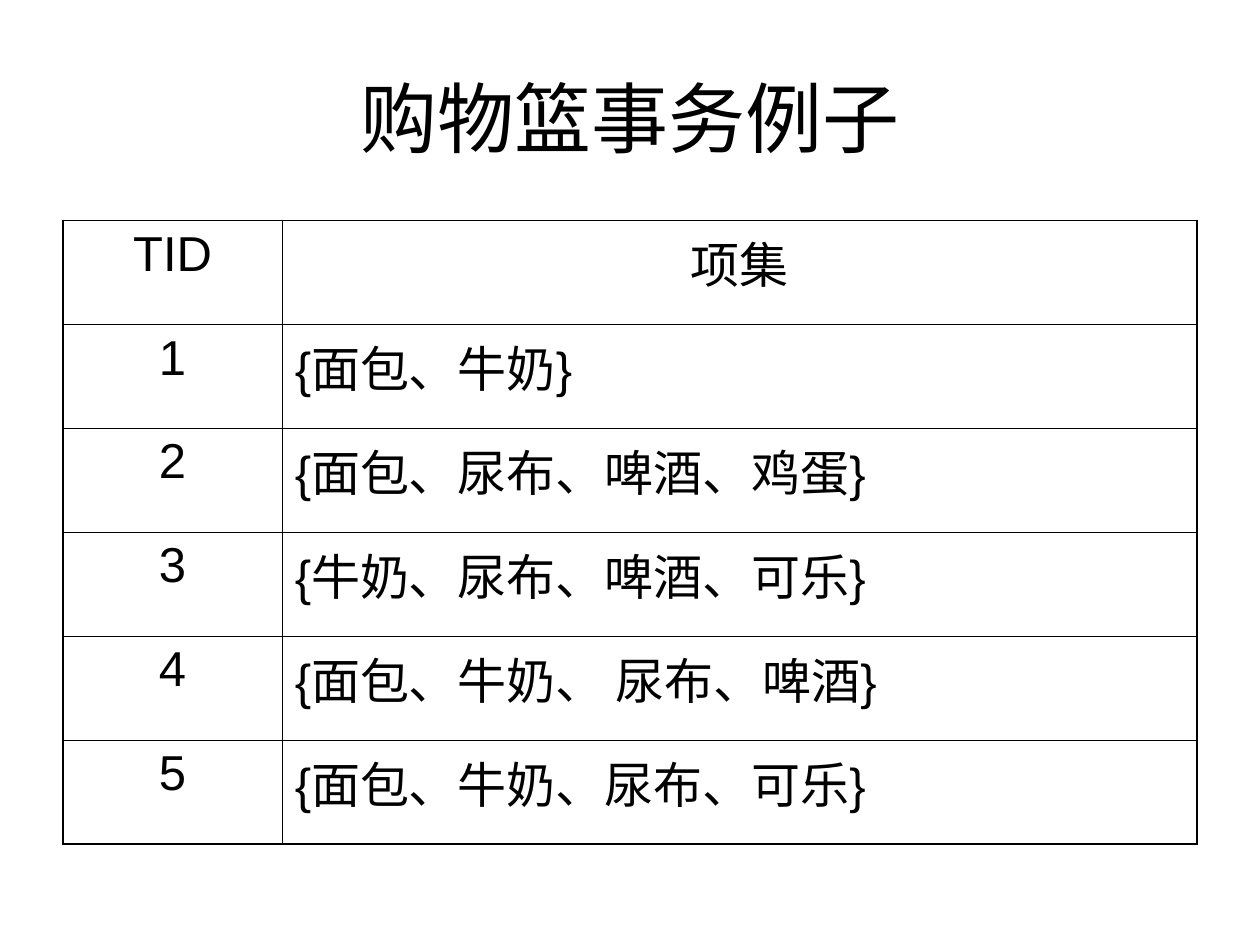
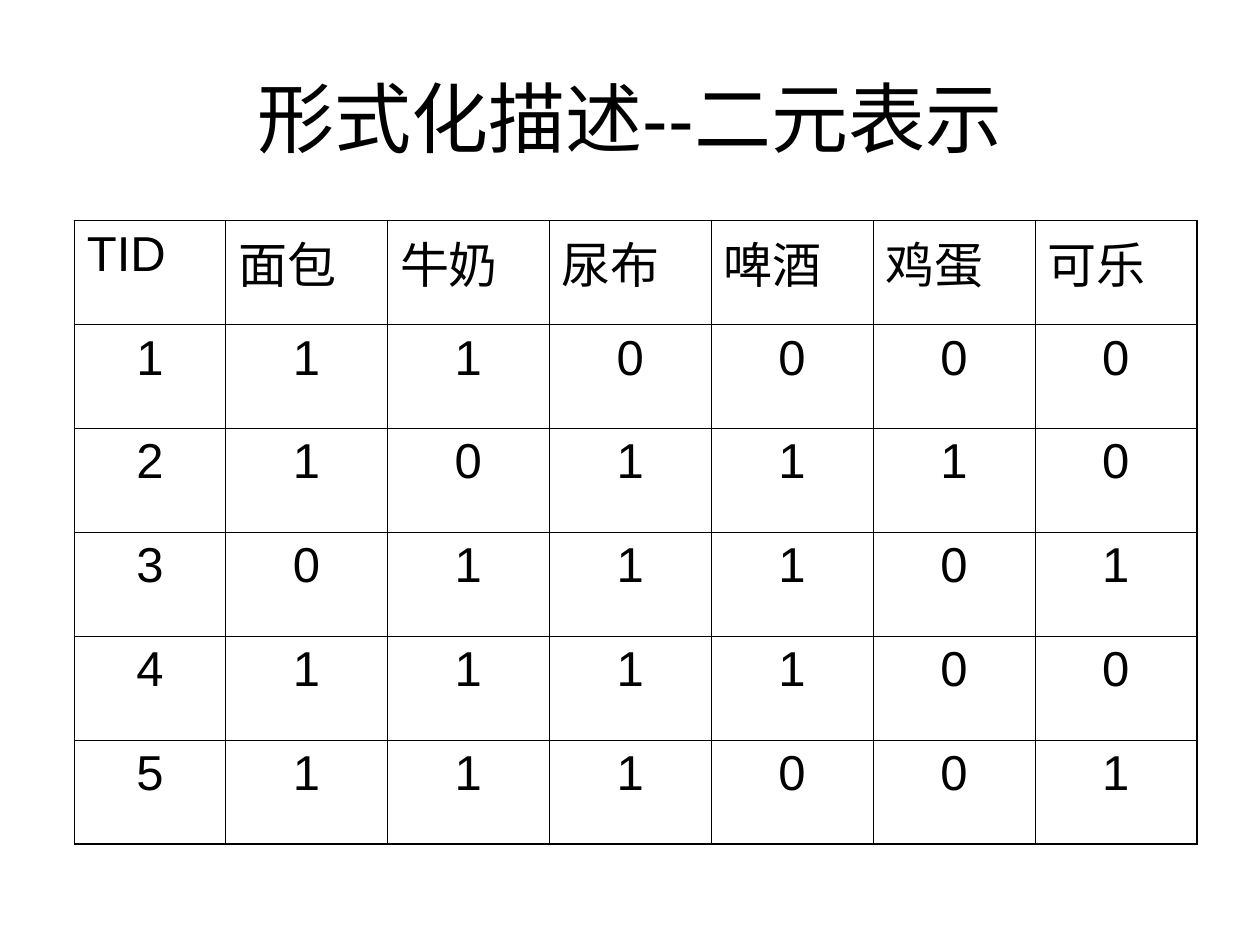
import pptx
import pptx.dml.color
import pptx.enum.text
import pptx.oxml.ns
import pptx.util
from lxml import etree

Inches = pptx.util.Inches
Pt = pptx.util.Pt
ALIGN = pptx.enum.text.PP_ALIGN
INK = "000000"
FONT = "Arial"
TITLE_SIZE, CELL_SIZE = 44, 28
OUTER_LINE, INNER_LINE = 1.08, 0.45
TITLE_BOX = (0.5, 0.3, 9, 1.25)

ITEMS = ["面包", "牛奶", "尿布", "啤酒", "鸡蛋", "可乐"]
BASKETS = [
    "{面包、牛奶}",
    "{面包、尿布、啤酒、鸡蛋}",
    "{牛奶、尿布、啤酒、可乐}",
    "{面包、牛奶、 尿布、啤酒}",
    "{面包、牛奶、尿布、可乐}",
]


def color(value):
    return pptx.dml.color.RGBColor.from_string(value)


def write(para, text, size, align):
    para.alignment = align
    span = para.add_run()
    span.text = text
    span.font.size = Pt(size)
    span.font.name = FONT
    span.font.bold = False
    span.font.color.rgb = color(INK)


def add_title(page, text, box):
    frame = page.shapes.add_textbox(*map(Inches, box)).text_frame
    frame.word_wrap = True
    frame.vertical_anchor = pptx.enum.text.MSO_ANCHOR.MIDDLE
    write(frame.paragraphs[0], text, TITLE_SIZE, ALIGN.CENTER)


def add_border(cell, side, width):
    qn = pptx.oxml.ns.qn
    properties = cell._tc.get_or_add_tcPr()
    line = etree.SubElement(properties, qn(f"a:ln{side}"), w=str(Pt(width)))
    fill = etree.SubElement(line, qn("a:solidFill"))
    etree.SubElement(fill, qn("a:srgbClr"), val=INK)


def add_grid(page, rows, box, first_width, align_of):
    """Draw a ruled table whose columns after the first share the width equally."""
    left, top, width, height = box
    row_count, column_count = len(rows), len(rows[0])
    table = page.shapes.add_table(row_count, column_count, *map(Inches, box)).table
    table.first_row = table.horz_banding = False
    for row in table.rows:
        row.height = Inches(height / row_count)
    for index, column in enumerate(table.columns):
        other_width = (width - first_width) / (column_count - 1)
        column.width = Inches(other_width if index else first_width)
    for r, values in enumerate(rows):
        for c, text in enumerate(values):
            cell = table.cell(r, c)
            on_edge = {"L": c == 0, "R": c == column_count - 1,
                       "T": r == 0, "B": r == row_count - 1}
            for side, outer in on_edge.items():
                add_border(cell, side, OUTER_LINE if outer else INNER_LINE)
            cell.fill.background()
            para = cell.text_frame.paragraphs[0]
            para.space_before = Pt(7)
            write(para, text, CELL_SIZE, align_of(r, c))


def add_basket_slide(page):
    add_title(page, "购物篮事务例子", TITLE_BOX)
    rows = [["TID", "项集"]]
    rows += [[str(tid), basket] for tid, basket in enumerate(BASKETS, 1)]
    add_grid(page, rows, (0.5, 1.75, 9, 4.95), 1.74,
             lambda r, c: ALIGN.LEFT if r and c else ALIGN.CENTER)


def add_binary_slide(page):
    add_title(page, "形式化描述--二元表示", TITLE_BOX)
    rows = [["TID"] + ITEMS]
    for tid, basket in enumerate(BASKETS, 1):
        rows.append([str(tid)] + [str(int(item in basket)) for item in ITEMS])
    add_grid(page, rows, (0.59, 1.75, 8.91, 4.95), 1.2,
             lambda r, c: ALIGN.CENTER if r else ALIGN.LEFT)


def main():
    deck = pptx.Presentation()
    deck.slide_width, deck.slide_height = Inches(10), Inches(7.5)
    for build in (add_basket_slide, add_binary_slide):
        build(deck.slides.add_slide(deck.slide_layouts[6]))
    deck.save("out.pptx")


if __name__ == "__main__":
    main()
